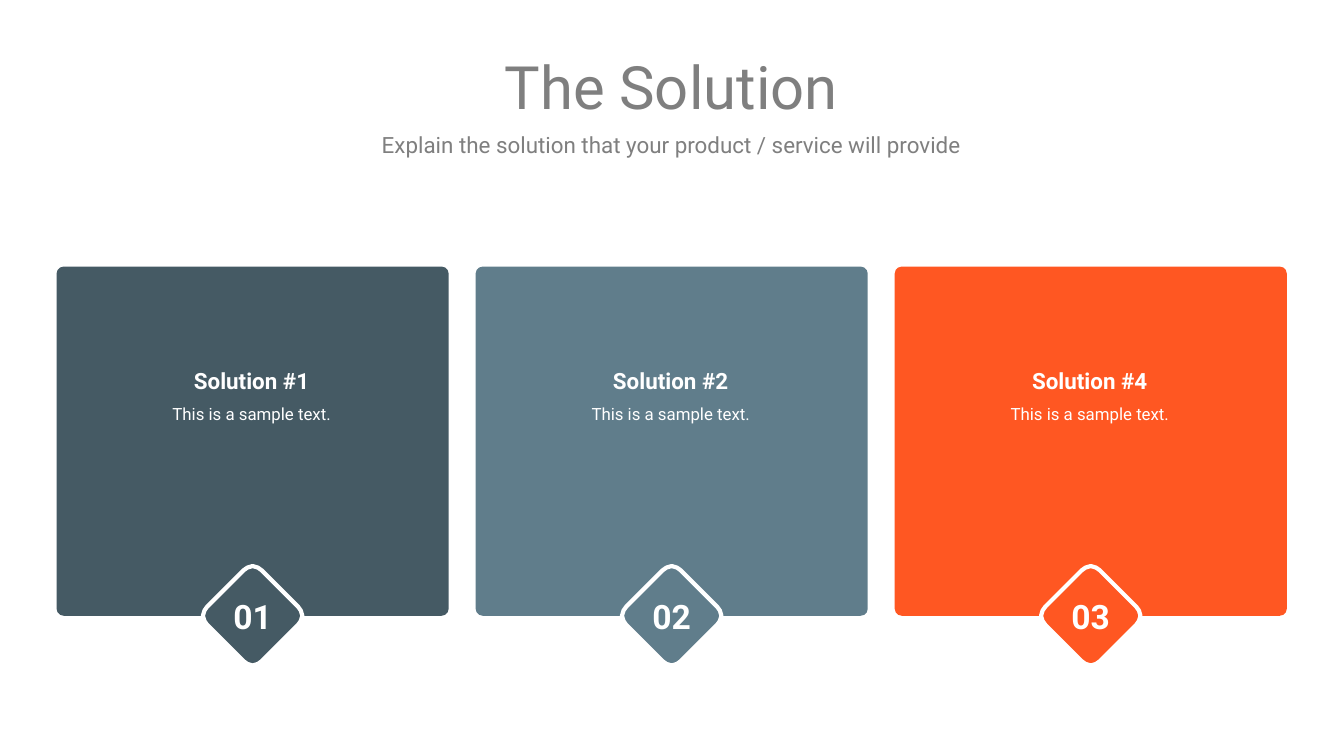
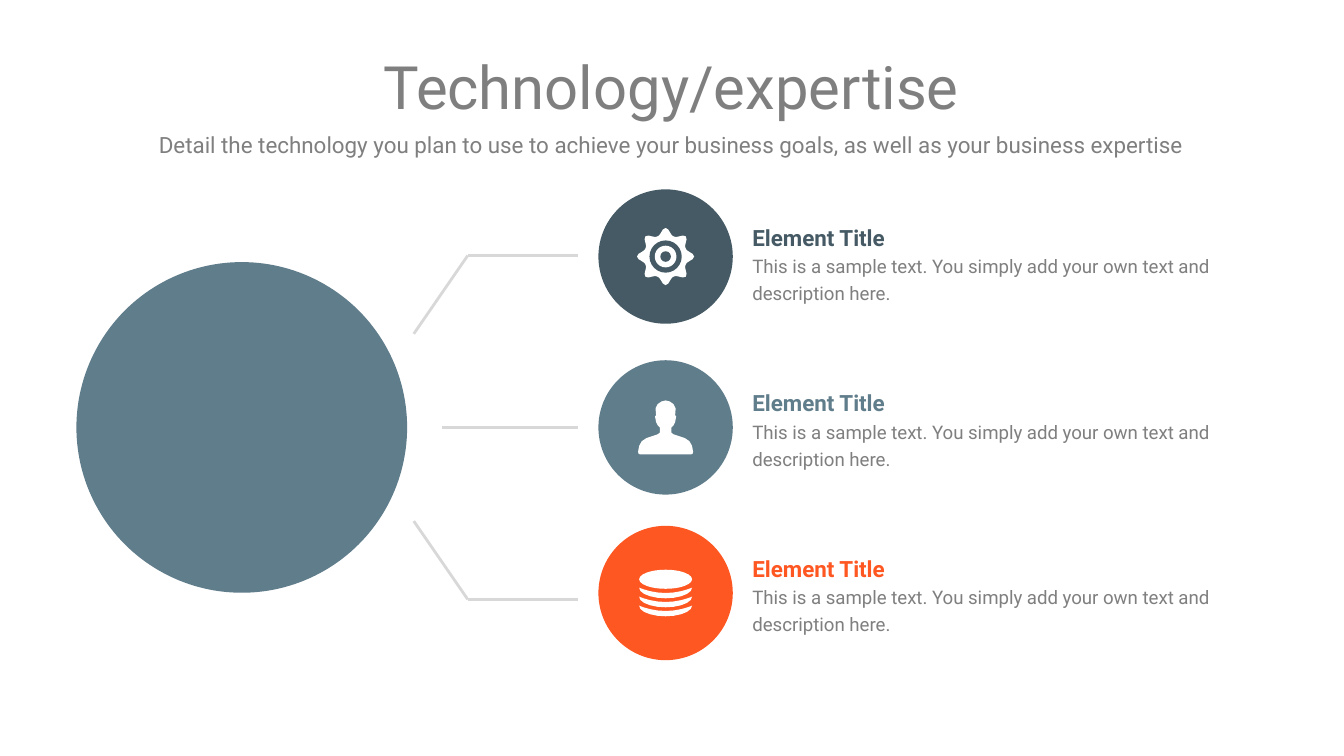
import dataclasses
import math

import lxml.etree
import pptx
import pptx.dml.color
import pptx.enum.shapes
import pptx.enum.text
import pptx.oxml.ns
import pptx.util

Cm = pptx.util.Cm
Pt = pptx.util.Pt
SHAPE = pptx.enum.shapes.MSO_SHAPE
ALIGN = pptx.enum.text.PP_ALIGN
ANCHOR = pptx.enum.text.MSO_ANCHOR


@dataclasses.dataclass(frozen=True)
class Theme:
    font: str = "Roboto"
    dark: str = "455A64"
    slate: str = "607D8B"
    orange: str = "FF5722"
    grey: str = "7F7F7F"
    rule: str = "D8D8D8"
    white: str = "FFFFFF"
    title: int = 32
    number: int = 18
    heading: int = 12
    detail: int = 10
    sample: int = 9


THEME = Theme()

SOLUTION = {
    "title": "The Solution",
    "subtitle": "Explain the solution that your product / service will provide",
    "cards": [
        ("01", "Solution #1", "This is a sample text.", THEME.dark),
        ("02", "Solution #2", "This is a sample text.", THEME.slate),
        ("03", "Solution #4", "This is a sample text.", THEME.orange),
    ],
}
ELEMENT_TEXT = "This is a sample text. You simply add your own text and description here."
EXPERTISE = {
    "title": "Technology/expertise",
    "subtitle": "Detail the technology you plan to use to achieve your business goals, "
                "as well as your business expertise",
    # heading, text, colour, icon, centre of the disc
    "elements": [
        ("Element Title", ELEMENT_TEXT, THEME.dark, "gear", 4.85),
        ("Element Title", ELEMENT_TEXT, THEME.slate, "person", 8.08),
        ("Element Title", ELEMENT_TEXT, THEME.orange, "coins", 11.21),
    ],
}

# Right half of the person, from the crown to the base, in cm from the centre
PERSON_HALF = [
    (0, -0.51), (0.08, -0.49), (0.15, -0.44), (0.19, -0.36), (0.18, -0.23),
    (0.2, -0.21), (0.18, -0.1), (0.15, -0.04), (0.11, 0), (0.11, 0.1),
    (0.15, 0.13), (0.36, 0.2), (0.45, 0.26), (0.5, 0.35), (0.52, 0.46),
    (0.51, 0.5), (0.48, 0.51),
]


def rgb(colour):
    return pptx.dml.color.RGBColor.from_string(colour)


def paint(shape, fill, outline=None):
    shape.shadow.inherit = False
    shape.fill.solid()
    shape.fill.fore_color.rgb = rgb(fill)
    if outline:
        shape.line.color.rgb = rgb(outline)
        shape.line.width = Pt(2.25)
    else:
        shape.line.fill.background()
    return shape


def add_run(paragraph, text, size, colour, bold=False):
    run = paragraph.add_run()
    run.text = text
    run.font.name = THEME.font
    run.font.size = Pt(size)
    run.font.bold = bold
    run.font.color.rgb = rgb(colour)


def add_text(slide, box, lines, align, anchor=ANCHOR.MIDDLE, spacing=1.0):
    """Add a text box whose lines, given as add_run arguments, share one paragraph."""
    frame = slide.shapes.add_textbox(*map(Cm, box)).text_frame
    frame.word_wrap = True
    frame.vertical_anchor = anchor
    frame.margin_left = frame.margin_right = frame.margin_top = frame.margin_bottom = 0
    paragraph = frame.paragraphs[0]
    paragraph.alignment = align
    paragraph.line_spacing = spacing
    for index, line in enumerate(lines):
        if index:
            paragraph.add_line_break()
        add_run(paragraph, *line)
    return paragraph


def add_disc(slide, x, y, width, height, fill):
    """Add an ellipse centred on x, y."""
    box = map(Cm, (x - width / 2, y - height / 2, width, height))
    return paint(slide.shapes.add_shape(SHAPE.OVAL, *box), fill)


def add_outline(slide, x, y, contour, fill, outline=None):
    """Add a closed freeform whose points are offsets from x, y."""
    start, *rest = [(Cm(x + dx), Cm(y + dy)) for dx, dy in contour]
    builder = slide.shapes.build_freeform(*start)
    builder.add_line_segments(rest, close=True)
    return paint(builder.convert_to_shape(), fill, outline)


def add_line(slide, start, end):
    line = slide.shapes.add_connector(
        pptx.enum.shapes.MSO_CONNECTOR.STRAIGHT, *map(Cm, start + end))
    line.line.color.rgb = rgb(THEME.rule)
    line.line.width = Pt(1.5)
    lxml.etree.SubElement(line._element.spPr, pptx.oxml.ns.qn("a:effectLst"))


def rounded_diamond():
    corner = [(-0.17, -0.86), (-0.1, -0.91), (0, -0.94), (0.1, -0.91), (0.17, -0.86)]
    points = []
    for _ in range(4):
        points += corner
        corner = [(-dy, dx) for dx, dy in corner]
    return points


def draw_gear(slide, x, y, colour):
    teeth = []
    for step in range(64):
        angle = math.pi * step / 32
        radius = 0.41 + 0.13 * ((1 + math.cos(8 * angle)) / 2) ** 1.5
        teeth.append((radius * math.cos(angle), radius * math.sin(angle)))
    add_outline(slide, x, y, teeth, THEME.white)
    for size, fill in ((0.61, colour), (0.41, THEME.white), (0.2, colour)):
        add_disc(slide, x, y, size, size, fill)


def draw_person(slide, x, y, colour):
    mirrored = [(-dx, dy) for dx, dy in reversed(PERSON_HALF[1:])]
    add_outline(slide, x, y, PERSON_HALF + mirrored, THEME.white)


def draw_coins(slide, x, y, colour):
    radius, pitch = 0.5, 0.17
    add_disc(slide, x, y - 0.26, 2 * radius, 0.36, THEME.white)
    angles = [math.pi * step / 10 for step in range(11)]
    upper = [(-radius * math.cos(a), 0.1 * math.sin(a) ** 2) for a in angles]
    lower = [(radius * math.cos(a), 0.2 * math.sin(a)) for a in angles[1:-1]]
    for level in range(3):
        add_outline(slide, x, y - 0.1 + level * pitch, upper + lower, THEME.white)


ICONS = {"gear": draw_gear, "person": draw_person, "coins": draw_coins}


def add_slide(deck, content):
    """Add a blank slide with the shared title and subtitle."""
    slide = deck.slides.add_slide(deck.slide_layouts[6])
    subtitle = add_text(slide, (1.07, 2.46, 23.24, 0.48),
                        [(content["subtitle"], THEME.heading, THEME.grey)],
                        ALIGN.CENTER, spacing=1.15)
    subtitle.space_after = Pt(16)
    add_text(slide, (1.07, 0.94, 23.24, 1.37),
             [(content["title"], THEME.title, THEME.grey)], ALIGN.CENTER)
    return slide


def build_solution(deck):
    slide = add_slide(deck, SOLUTION)
    left, top, width, height, pitch = 1.07, 5.04, 7.41, 6.6, 7.92
    for index, (number, heading, sample, colour) in enumerate(SOLUTION["cards"]):
        x = left + index * pitch
        card = slide.shapes.add_shape(SHAPE.ROUNDED_RECTANGLE,
                                      *map(Cm, (x, top, width, height)))
        card.adjustments[0] = 0.02
        paint(card, colour)
        add_text(slide, (x + 0.22, 6.68, 6.93, 3.58),
                 [(heading, THEME.heading, THEME.white, True),
                  (sample, THEME.sample, THEME.white)],
                 ALIGN.CENTER, ANCHOR.TOP, 1.5)
        badge = add_outline(slide, x + width / 2, top + height, rounded_diamond(),
                            colour, THEME.white)
        badge.text_frame.vertical_anchor = ANCHOR.MIDDLE
        label = badge.text_frame.paragraphs[0]
        label.alignment = ALIGN.CENTER
        add_run(label, number, THEME.number, THEME.white, True)


def build_expertise(deck):
    slide = add_slide(deck, EXPERTISE)
    middle, tip, bend = 8.08, 10.92, 8.84
    add_disc(slide, 4.57, middle, 6.25, 6.25, THEME.slate)
    for side in (-1, 1):
        elbow = (bend, middle + side * 3.25)
        add_line(slide, (tip, elbow[1]), elbow)
        add_line(slide, elbow, (7.82, middle + side * 1.77))
    add_line(slide, (tip, middle), (8.36, middle))

    for index, (heading, text, colour, icon, y) in enumerate(EXPERTISE["elements"]):
        x = 12.58
        add_disc(slide, x, y, 2.54, 2.54, colour)
        ICONS[icon](slide, x, y, colour)
        add_text(slide, (14.22, 4.14 + index * 3.13, 9.91, 1.6),
                 [(heading, THEME.heading, colour, True),
                  (text, THEME.detail, THEME.grey)],
                 ALIGN.LEFT, spacing=1.2)


def main():
    deck = pptx.Presentation()
    deck.slide_width, deck.slide_height = Cm(25.4), Cm(14.29)
    build_solution(deck)
    build_expertise(deck)
    deck.save("out.pptx")


if __name__ == "__main__":
    main()
